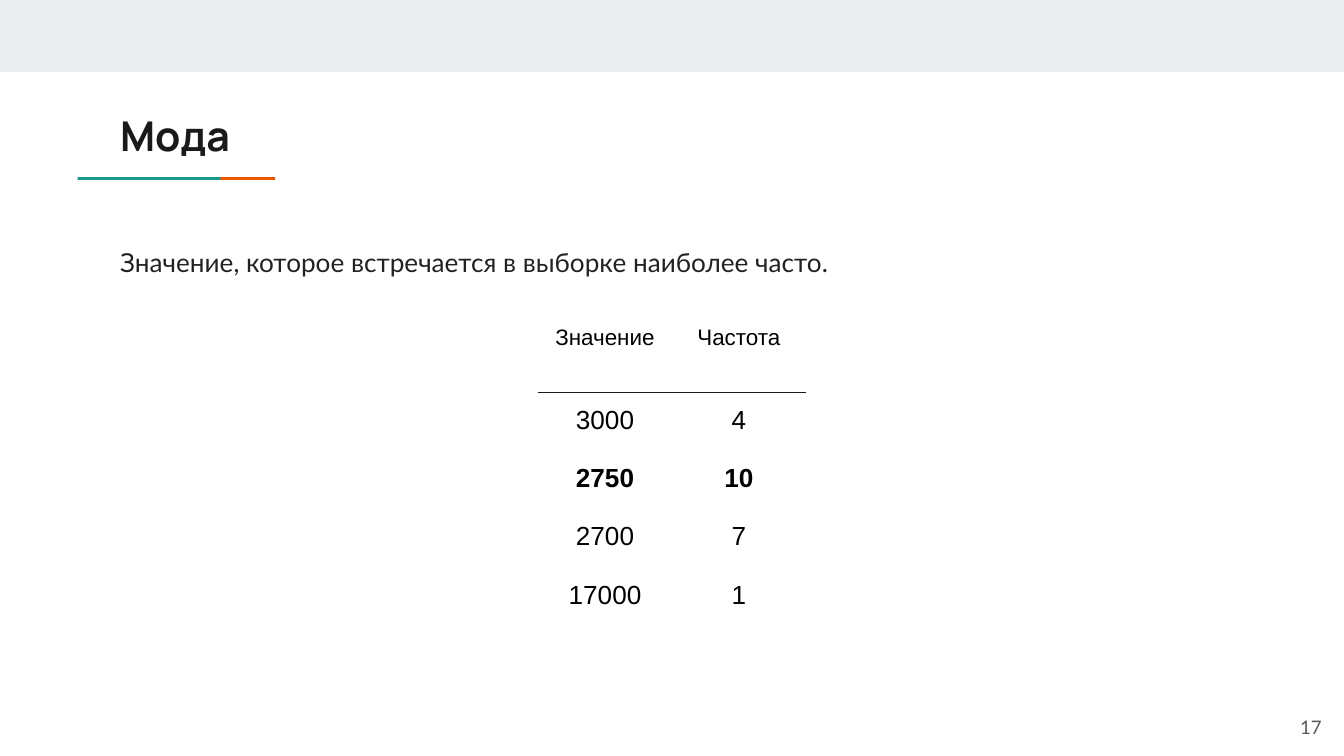
"""Build a slide that defines the mode with a table of frequencies."""
from lxml import etree
from pptx import Presentation
from pptx.dml.color import RGBColor
from pptx.enum.shapes import MSO_SHAPE
from pptx.enum.text import MSO_ANCHOR, MSO_AUTO_SIZE, PP_ALIGN
from pptx.oxml.ns import qn
from pptx.util import Cm, Pt

RECTANGLE = MSO_SHAPE.RECTANGLE
TOP, MIDDLE = MSO_ANCHOR.TOP, MSO_ANCHOR.MIDDLE
LEFT, CENTER, RIGHT = PP_ALIGN.LEFT, PP_ALIGN.CENTER, PP_ALIGN.RIGHT
NO_AUTOFIT = MSO_AUTO_SIZE.NONE

BAND = RGBColor(0xE9, 0xED, 0xEE)
ORANGE = RGBColor(0xEB, 0x56, 0x00)
TEAL = RGBColor(0x1A, 0x99, 0x88)
DARK = RGBColor(0x1A, 0x1A, 0x1A)
BODY = RGBColor(0x22, 0x22, 0x22)
GRAY = RGBColor(0x59, 0x59, 0x59)
BLACK = RGBColor(0, 0, 0)
WHITE = RGBColor(0xFF, 0xFF, 0xFF)

INSET = Cm(0.25)
BORDER_WIDTH = Pt(0.75)
HEADER_HEIGHT, ROW_HEIGHT, COLUMN_WIDTH = 1.52, 1.1, 2.53
FREQUENCIES = [
    ("Значение", "Частота"),
    ("3000", "4"),
    ("2750", "10"),
    ("2700", "7"),
    ("17000", "1"),
]
MODE_ROW = 2


def add_bar(slide, left, top, width, height, color):
    """Add a plain filled rectangle."""
    bar = slide.shapes.add_shape(RECTANGLE, Cm(left), Cm(top), Cm(width), Cm(height))
    bar.shadow.inherit = False
    bar.fill.solid()
    bar.fill.fore_color.rgb = color
    bar.line.fill.background()


def place(box, left, top, width, height):
    """Move and resize a box."""
    box.left, box.top, box.width, box.height = Cm(left), Cm(top), Cm(width), Cm(height)


def set_insets(target):
    """Give a text frame or a cell equal margins."""
    target.margin_left = target.margin_right = INSET
    target.margin_top = target.margin_bottom = INSET


def write(frame, text, font_name, size, color, bold=False, align=LEFT):
    """Write one formatted paragraph and return it."""
    frame.text = text
    para = frame.paragraphs[0]
    para.alignment = align
    for span in para.runs:
        span.font.name = font_name
        span.font.size = Pt(size)
        span.font.bold = bold
        span.font.color.rgb = color
    return para


def prepare_frame(box, anchor=TOP):
    """Set wrapping, margins and anchor of a text box and return its frame."""
    frame = box.text_frame
    frame.word_wrap = True
    frame.auto_size = NO_AUTOFIT
    frame.vertical_anchor = anchor
    set_insets(frame)
    return frame


def fill_body(box, text):
    """Write the definition without a bullet."""
    para = write(prepare_frame(box), text, "Lato", 14, BODY)
    properties = para._p.get_or_add_pPr()
    properties.set("marL", "0")
    properties.set("indent", "0")
    etree.SubElement(properties, qn("a:buNone"))
    para.line_spacing = 1.15
    para.space_before = Pt(0)
    para.space_after = Pt(16)


def set_borders(cell, top, bottom):
    """Draw white side borders and the given top and bottom borders."""
    properties = cell._tc.get_or_add_tcPr()
    for side, color in (("L", WHITE), ("R", WHITE), ("T", top), ("B", bottom)):
        line = etree.SubElement(properties, qn(f"a:ln{side}"), w=str(BORDER_WIDTH))
        fill = etree.SubElement(line, qn("a:solidFill"))
        etree.SubElement(fill, qn("a:srgbClr"), val=str(color))


def add_frequency_table(slide, left, top):
    """Add the table of values with a rule below its header."""
    row_count, column_count = len(FREQUENCIES), len(FREQUENCIES[0])
    height = HEADER_HEIGHT + ROW_HEIGHT * (row_count - 1)
    table = slide.shapes.add_table(
        row_count, column_count, Cm(left), Cm(top),
        Cm(COLUMN_WIDTH * column_count), Cm(height)).table
    table.first_row = table.horz_banding = False
    for column in table.columns:
        column.width = Cm(COLUMN_WIDTH)
    for row_index, values in enumerate(FREQUENCIES):
        is_header = row_index == 0
        table.rows[row_index].height = Cm(HEADER_HEIGHT if is_header else ROW_HEIGHT)
        for column_index, value in enumerate(values):
            cell = table.cell(row_index, column_index)
            set_insets(cell)
            set_borders(cell, DARK if row_index == 1 else WHITE,
                        DARK if is_header else WHITE)
            cell.fill.background()
            write(cell.text_frame, value, "Arial", 12 if is_header else 14,
                  BLACK, row_index == MODE_ROW, CENTER)


def main():
    """Build and save the deck."""
    deck = Presentation()
    deck.slide_width, deck.slide_height = Cm(25.4), Cm(14.29)
    page = deck.slides.add_slide(deck.slide_layouts[1])

    add_bar(page, 0, 0, 25.4, 1.36, BAND)
    for left, color in ((2.5, ORANGE), (1.47, TEAL)):
        add_bar(page, left, 3.35, 2.7, 0.05, color)

    title, body = page.shapes.title, page.placeholders[1]
    place(title, 2.02, 1.83, 21.36, 1.5)
    write(prepare_frame(title), "Мода", "Manrope", 22, DARK, bold=True)
    place(body, 2.02, 4.32, 14, 1.7)
    fill_body(body, "Значение, которое встречается в выборке наиболее часто.")

    add_frequency_table(page, 10.17, 5.9)

    number = page.shapes.add_textbox(Cm(23.71), Cm(13.2), Cm(1.52), Cm(1.09))
    write(prepare_frame(number, MIDDLE), "17", "Lato", 10, GRAY, align=RIGHT)
    deck.save("out.pptx")


if __name__ == "__main__":
    main()
